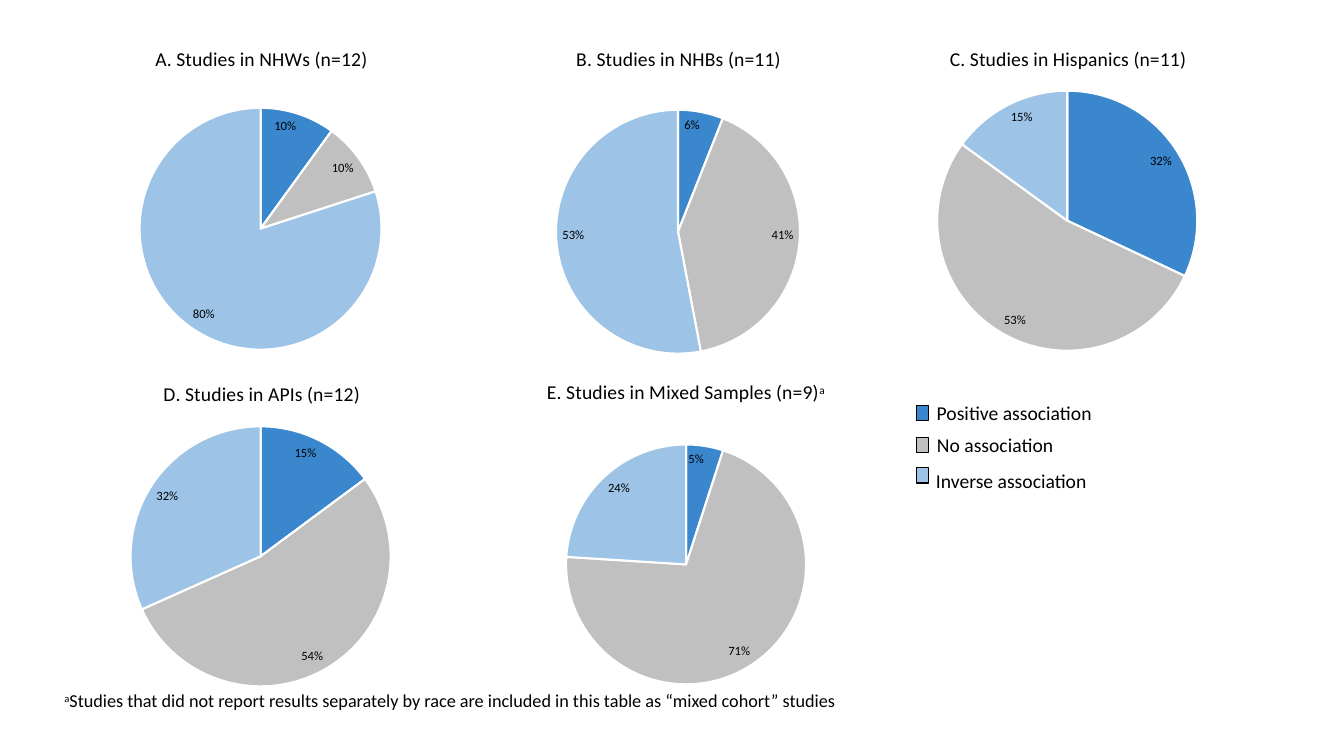
from lxml.etree import fromstring
from pptx import Presentation
from pptx.chart.data import CategoryChartData as ChartData
from pptx.dml.color import RGBColor
from pptx.enum.chart import XL_CHART_TYPE as Kind, XL_LABEL_POSITION as Spot
from pptx.enum.shapes import MSO_SHAPE as Shape
from pptx.enum.text import PP_ALIGN as Align
from pptx.oxml.ns import qn
from pptx.util import Emu, Pt

FONT = "Calibri"
BLACK = "000000"
BLUE, GREY, PALE = HUES = "3B87CD", "C0C0C0", "9DC3E6"
CHART_NS = "http://schemas.openxmlformats.org/drawingml/2006/chart"

# title, raised mark, title width, box, pie top, pie size, values
PIES = [
    ("A. Studies in NHWs (n=12)", "", 210, (36, 30, 445, 332), 77, 240, (10, 10, 80)),
    ("B. Studies in NHBs (n=11)", "", 203, (450, 30, 445, 336), 79, 242, (6, 41, 53)),
    ("C. Studies in Hispanics (n=11)", "", 234, (836, 30, 445, 332), 60, 258, (32, 53, 15)),
    ("D. Studies in APIs (n=12)", "", 194, (36, 363, 445, 332), 60, 258, (15, 54, 32)),
    ("E. Studies in Mixed Samples (n=9)", "a", 276, (458, 362, 445, 332), 79, 238, (5, 71, 24)),
]
# label, colour, label box, key top
KEYS = [
    ("Positive association", BLUE, (916, 393, 180, 34), 402),
    ("No association", GREY, (918, 425, 138, 34), 434),
    ("Inverse association", PALE, (916, 460, 174, 34), 464),
]
NOTE = ("Studies that did not report results separately by race are included "
        "in this table as “mixed cohort” studies")


def px(n):
    return Emu(n * 9144)


def rgb(code):
    return RGBColor.from_string(code)


def style(font, size):
    font.name, font.size, font.bold = FONT, Pt(size), False
    font.color.rgb = rgb(BLACK)


def write(par, parts, size):
    """Fill a paragraph with (text, raised) parts."""
    for text, raised in parts:
        run = par.add_run()
        run.text = text
        style(run.font, size)
        if raised:
            run._r.get_or_add_rPr().set("baseline", "30000")


def pin(node, index, box, spot):
    """Fix a chart part at spot, given in px within the chart box."""
    for old in node.findall(qn("c:layout")):
        node.remove(old)
    wide, high = box[2:]
    names = ["x", "y", "w", "h"][:len(spot)]
    rows = '<c:layoutTarget val="inner"/>' if len(spot) == 4 else ""
    rows += "".join(f'<c:{n}Mode val="edge"/>' for n in "xy")
    rows += "".join(f'<c:{n} val="{v / full:.4f}"/>'
                    for n, v, full in zip(names, spot, (wide, high) * 2))
    node.insert(index, fromstring(
        f'<c:layout xmlns:c="{CHART_NS}"><c:manualLayout>{rows}'
        '</c:manualLayout></c:layout>'))


def add_pie(slide, title, mark, width, box, top, size, vals):
    data = ChartData()
    data.categories = ["1", "2", "3"]
    data.add_series("Series 1", vals)
    chart = slide.shapes.add_chart(Kind.PIE, *map(px, box), data).chart
    chart.has_legend = False
    style(chart.font, 10)

    # Title
    head = chart.chart_title
    parts = [(title, False)] + ([(mark, True)] if mark else [])
    write(head.text_frame.paragraphs[0], parts, 14)
    mid = box[2] / 2
    pin(head._element, 1, box, (mid - width / 2 - 3, 11))

    # Slices
    plot = chart.plots[0]
    plot.vary_by_categories = True
    for i, hue in enumerate(HUES):
        form = plot.series[0].points[i].format
        form.fill.solid()
        form.fill.fore_color.rgb = rgb(hue)
        form.line.color.rgb = rgb("FFFFFF")
        form.line.width = Pt(1.5)
    pin(chart._chartSpace.chart.plotArea, 0, box, (mid - size / 2, top, size, size))

    # Labels: rounded values that miss 100 are shown as they stand
    plot.has_data_labels = True
    tags = plot.data_labels
    whole = sum(vals) == 100
    tags.show_percentage, tags.show_value = whole, not whole
    tags.number_format = "0%" if whole else '0"%"'
    tags.number_format_is_linked = False
    tags.position = Spot.INSIDE_END
    style(tags.font, 9)


def add_text(slide, box, parts, size, align=Align.LEFT):
    frame = slide.shapes.add_textbox(*map(px, box)).text_frame
    frame.word_wrap = True
    par = frame.paragraphs[0]
    par.alignment = align
    write(par, parts, size)


def add_key(slide, label, hue, box, top):
    add_text(slide, box, [(label, False)], 14, Align.CENTER)
    key = slide.shapes.add_shape(Shape.RECTANGLE, *map(px, (909, top, 12, 15)))
    key.shadow.inherit = False
    key.fill.solid()
    key.fill.fore_color.rgb = rgb(hue)
    key.line.color.rgb = rgb(BLACK)
    key.line.width = Pt(1)


def main():
    deck = Presentation()
    deck.slide_width, deck.slide_height = px(1333), px(750)
    slide = deck.slides.add_slide(deck.slide_layouts[6])
    for pie in PIES:
        add_pie(slide, *pie)
    add_text(slide, (54, 679, 913, 32), [("a", True), (NOTE, False)], 13)
    for key in KEYS:
        add_key(slide, *key)
    deck.save("out.pptx")


if __name__ == "__main__":
    main()
